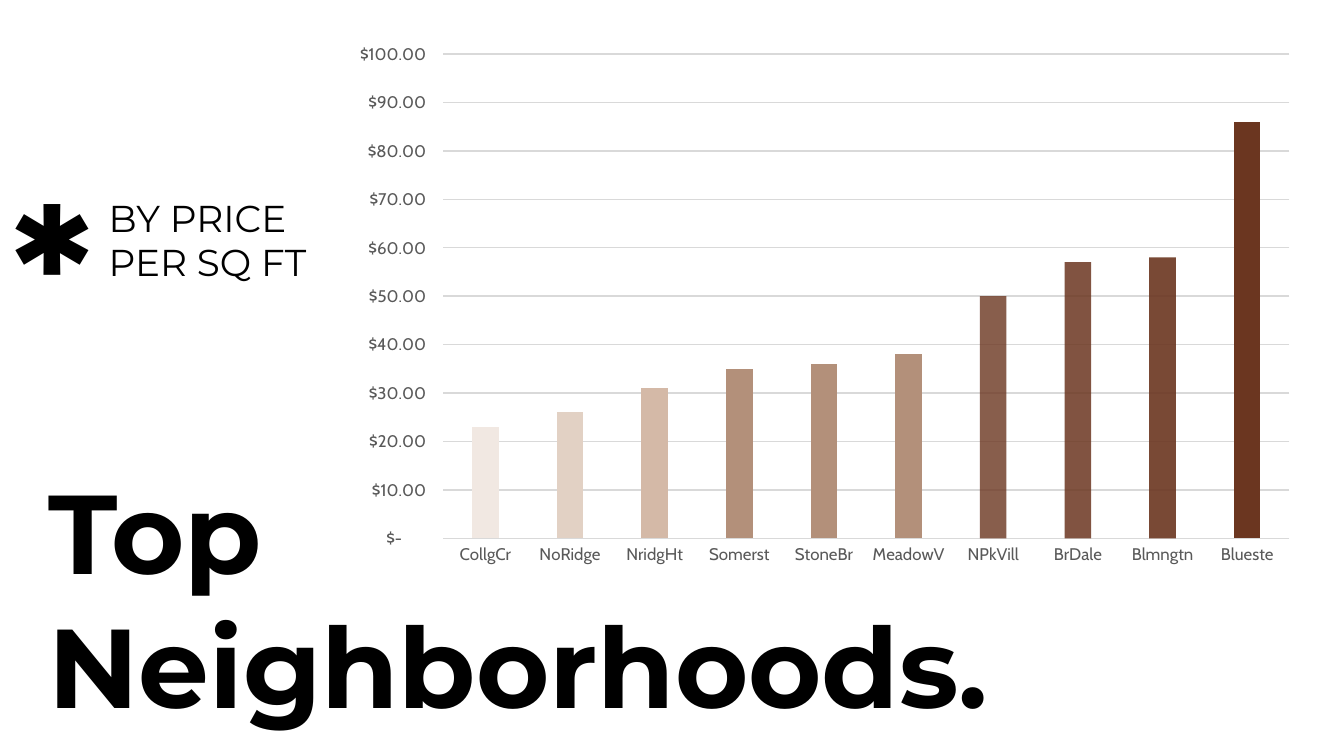
from lxml import etree
from pptx import Presentation, util as u
from pptx.chart.data import CategoryChartData
from pptx.dml.color import RGBColor
from pptx.enum import chart as ch, text
from pptx.oxml import parse_xml
from pptx.oxml.ns import nsdecls, qn

SCALE = 4572  # EMU per px, at 200 px to the inch
BLACK, GRAY, GRID = "000000", "595959", "D9D9D9"
TAN, BROWN = "B3907A", "6B3620"
DOLLARS = '_("$"* #,##0.00_);_("$"* \\(#,##0.00\\);_("$"* "-"??_);_(@_)'

# neighborhood, price per sq ft, bar colour, opacity in percent
BARS = [
    ("CollgCr", 23, "F1E8E2", 100),
    ("NoRidge", 26, "E2D1C4", 100),
    ("NridgHt", 31, "D4B9A7", 100),
    ("Somerst", 35, TAN, 100),
    ("StoneBr", 36, TAN, 100),
    ("MeadowV", 38, TAN, 100),
    ("NPkVill", 50, BROWN, 80),
    ("BrDale", 57, BROWN, 85),
    ("Blmngtn", 58, BROWN, 90),
    ("Blueste", 86, BROWN, 100),
]


def px(n):
    return u.Emu(n * SCALE)


def rgb(value):
    return RGBColor.from_string(value)


def set_font(font, name, size, color, bold=False):
    font.name, font.size, font.bold = name, u.Pt(size), bold
    font.color.rgb = rgb(color)


def set_line(line, color):
    line.color.rgb = rgb(color)
    line.width = u.Pt(0.75)


def fill_bar(fill, color, opacity=100):
    fill.solid()
    fill.fore_color.rgb = rgb(color)
    if opacity < 100:
        clr = fill._xPr.find(".//" + qn("a:srgbClr"))
        etree.SubElement(clr, qn("a:alpha"), val=str(opacity * 1000))


def add_text(slide, box, words, size, bold=False, inset_y=10):
    tf = slide.shapes.add_textbox(*map(px, box)).text_frame
    tf.word_wrap = True
    tf.vertical_anchor = text.MSO_ANCHOR.TOP
    tf.margin_left = tf.margin_right = px(20)
    tf.margin_top = tf.margin_bottom = px(inset_y)
    p = tf.paragraphs[0]
    p.text = words
    set_font(p.font, "Montserrat", size, BLACK, bold)


def place_plot(chart, x, y, w, h):
    """Fix the inner plot area, in fractions of the chart."""
    sizes = "".join(f'<c:{k} val="{v}"/>' for k, v in zip("xywh", (x, y, w, h)))
    layout = parse_xml(
        f'<c:layout {nsdecls("c")}><c:manualLayout><c:layoutTarget val="inner"/>'
        f'<c:xMode val="edge"/><c:yMode val="edge"/>{sizes}</c:manualLayout></c:layout>')
    area = chart._chartSpace.chart.plotArea
    for old in area.findall(qn("c:layout")):
        area.remove(old)
    area.insert(0, layout)


def add_price_chart(slide, box):
    data = CategoryChartData()
    data.categories = [bar[0] for bar in BARS]
    data.add_series("Series 1", [bar[1] for bar in BARS])
    chart = slide.shapes.add_chart(
        ch.XL_CHART_TYPE.COLUMN_CLUSTERED, *map(px, box), data).chart
    chart.has_legend = chart.has_title = False
    set_font(chart.font, "Arial", 10, BLACK)
    place_plot(chart, 0.11, 0.04, 0.87, 0.89)

    # Bars
    plot = chart.plots[0]
    plot.gap_width, plot.overlap, plot.vary_by_categories = 219, -27, False
    series = plot.series[0]
    fill_bar(series.format.fill, TAN)
    for i, (_, _, color, opacity) in enumerate(BARS):
        if color != TAN:
            fill_bar(series.points[i].format.fill, color, opacity)

    # Axes
    cat, val = chart.category_axis, chart.value_axis
    for axis in (cat, val):
        set_font(axis.tick_labels.font, "Cabin", 9, GRAY)
    cat.major_tick_mark = ch.XL_TICK_MARK.NONE
    set_line(cat.format.line, GRID)
    val.minimum_scale, val.maximum_scale, val.major_unit = 0, 100, 10
    val.major_tick_mark = ch.XL_TICK_MARK.OUTSIDE
    val.format.line.fill.background()
    set_line(val.major_gridlines.format.line, GRID)
    val.tick_labels.number_format = DOLLARS
    val.tick_labels.number_format_is_linked = False


def main():
    prs = Presentation()
    prs.slide_width, prs.slide_height = px(2000), px(1125)
    slide = prs.slides.add_slide(prs.slide_layouts[6])

    # Title
    add_text(slide, (52, 668, 1560, 126), "Top Neighborhoods.", 60, True, 20)
    # Prices
    add_price_chart(slide, (500, 48, 1448, 810))
    # Subtitle with its asterisk
    add_text(slide, (142, 280, 336, 154), "BY PRICE PER SQ FT", 20)
    add_text(slide, (0, 226, 214, 344), "*", 96, True)

    prs.save("out.pptx")


if __name__ == "__main__":
    main()
